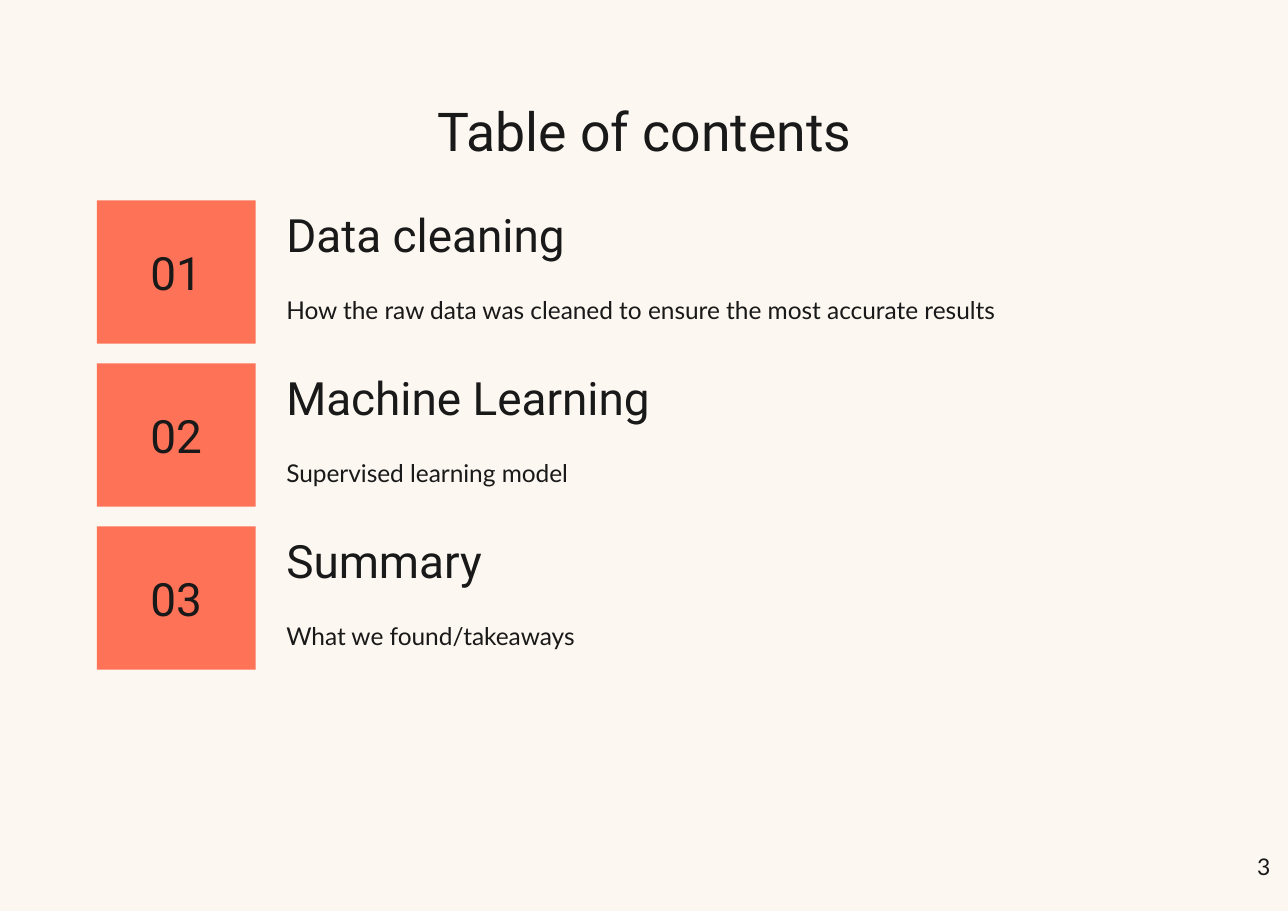
from pptx import Presentation
from pptx import util as u
from pptx.dml.color import RGBColor
from pptx.enum import shapes, text

CREAM = RGBColor(0xFC, 0xF7, 0xF0)
CORAL = RGBColor(0xFE, 0x72, 0x57)
INK = RGBColor(0x19, 0x19, 0x19)

WIDTH, HEIGHT = 11.69, 8.27
LEFT, CONTENT_WIDTH = 0.88, 9.94
ROWS_TOP, ROW_HEIGHT, ROW_PITCH = 1.82, 1.3, 1.48
NUMBER_WIDTH, TEXT_OFFSET, LINE_HEIGHT = 1.44, 1.62, 0.61

SECTIONS = [
    ("Data cleaning", "How the raw data was cleaned to ensure the most accurate results"),
    ("Machine Learning", "Supervised learning model"),
    ("Summary", "What we found/takeaways"),
]


def place(sp, x, y, w, h):
    sp.left, sp.top, sp.width, sp.height = (u.Inches(v) for v in (x, y, w, h))


def paint(fill, color):
    fill.solid()
    fill.fore_color.rgb = color


def write(sp, words, size, font="Roboto", align=text.PP_ALIGN.LEFT,
          anchor=text.MSO_ANCHOR.MIDDLE, inset=0.1):
    tf = sp.text_frame
    tf.word_wrap = True
    tf.auto_size = text.MSO_AUTO_SIZE.NONE
    tf.vertical_anchor = anchor
    tf.margin_left = tf.margin_right = u.Inches(inset)
    tf.margin_top = tf.margin_bottom = u.Inches(inset)
    p = tf.paragraphs[0]
    p.text = words
    p.alignment = align
    p.font.name = font
    p.font.size = u.Pt(size)
    p.font.color.rgb = INK


def add_panel(s, x, y, w, h, color, words, size, **style):
    sp = s.shapes.add_shape(shapes.MSO_SHAPE.RECTANGLE, 0, 0, 0, 0)
    place(sp, x, y, w, h)
    sp.shadow.inherit = False
    paint(sp.fill, color)
    sp.line.fill.background()
    write(sp, words, size, **style)


def add_title(s, x, y, w, h):
    sp = s.shapes.title
    place(sp, x, y, w, h)
    paint(sp.fill, CREAM)
    write(sp, "Table of contents", 35, align=text.PP_ALIGN.CENTER)


def add_section(s, x, y, w, h, number, heading, summary):
    text_x, text_w = x + TEXT_OFFSET, w - TEXT_OFFSET
    add_panel(s, text_x, y, text_w, LINE_HEIGHT, CREAM, heading, 30)
    add_panel(s, x, y, NUMBER_WIDTH, h, CORAL, f"{number:02d}", 30,
              align=text.PP_ALIGN.CENTER)
    add_panel(s, text_x, y + h - LINE_HEIGHT, text_w, LINE_HEIGHT, CREAM,
              summary, 16, font="Lato")


def add_page_number(s, x, y, w, h):
    sp = s.shapes.add_textbox(0, 0, 0, 0)
    place(sp, x, y, w, h)
    write(sp, "3", 15, font="Lato", align=text.PP_ALIGN.RIGHT,
          anchor=text.MSO_ANCHOR.TOP, inset=0.11)


def add_contents_slide(prs):
    s = prs.slides.add_slide(prs.slide_layouts[5])
    paint(s.background.fill, CREAM)
    add_title(s, LEFT, 0.72, CONTENT_WIDTH, 0.92)
    for i, (heading, summary) in enumerate(SECTIONS):
        add_section(s, LEFT, ROWS_TOP + i * ROW_PITCH, CONTENT_WIDTH, ROW_HEIGHT,
                    i + 1, heading, summary)
    add_page_number(s, WIDTH - 0.75, HEIGHT - 0.64, 0.7, 0.63)


def main():
    prs = Presentation()
    prs.slide_width, prs.slide_height = u.Inches(WIDTH), u.Inches(HEIGHT)
    add_contents_slide(prs)
    prs.save("out.pptx")


if __name__ == "__main__":
    main()
